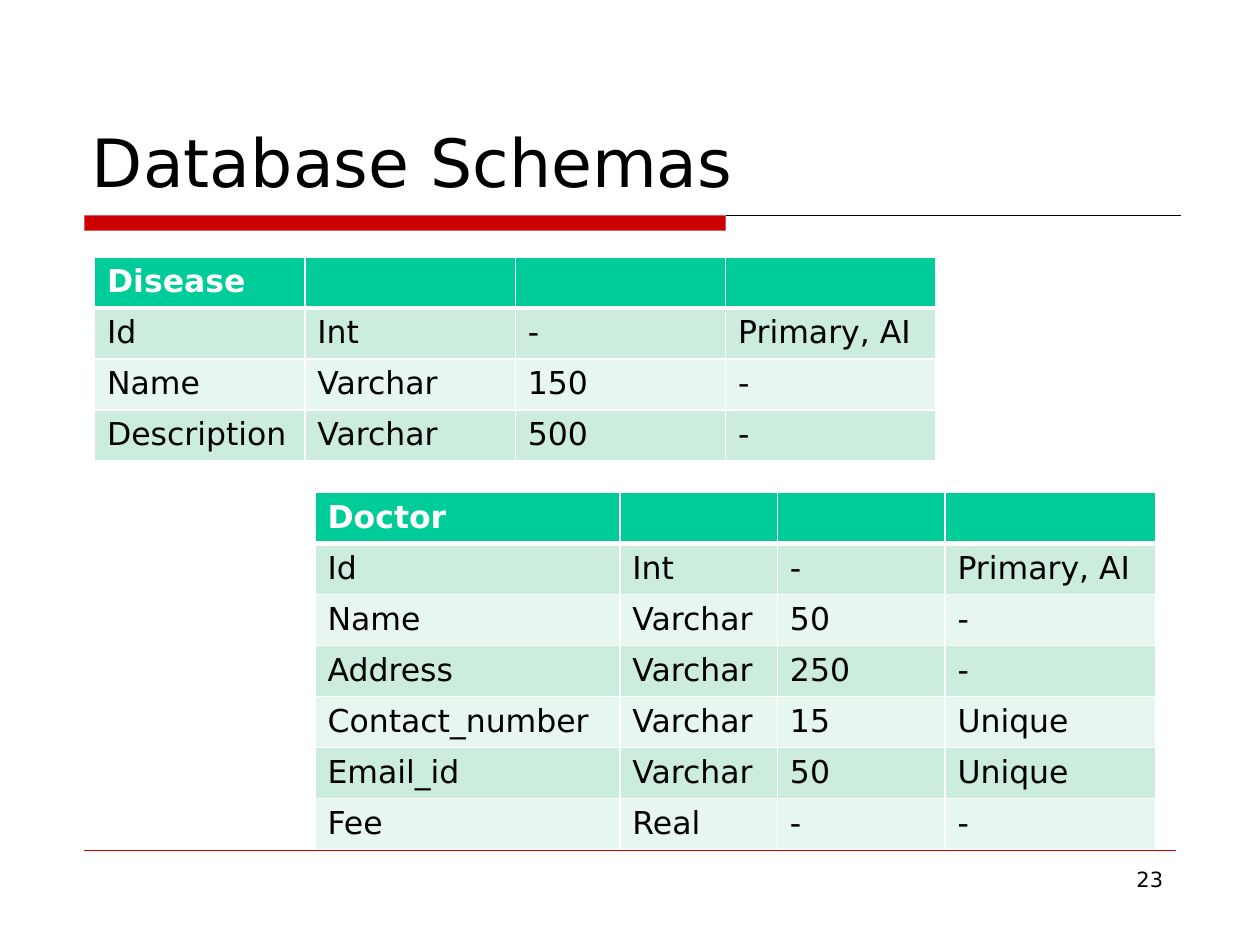
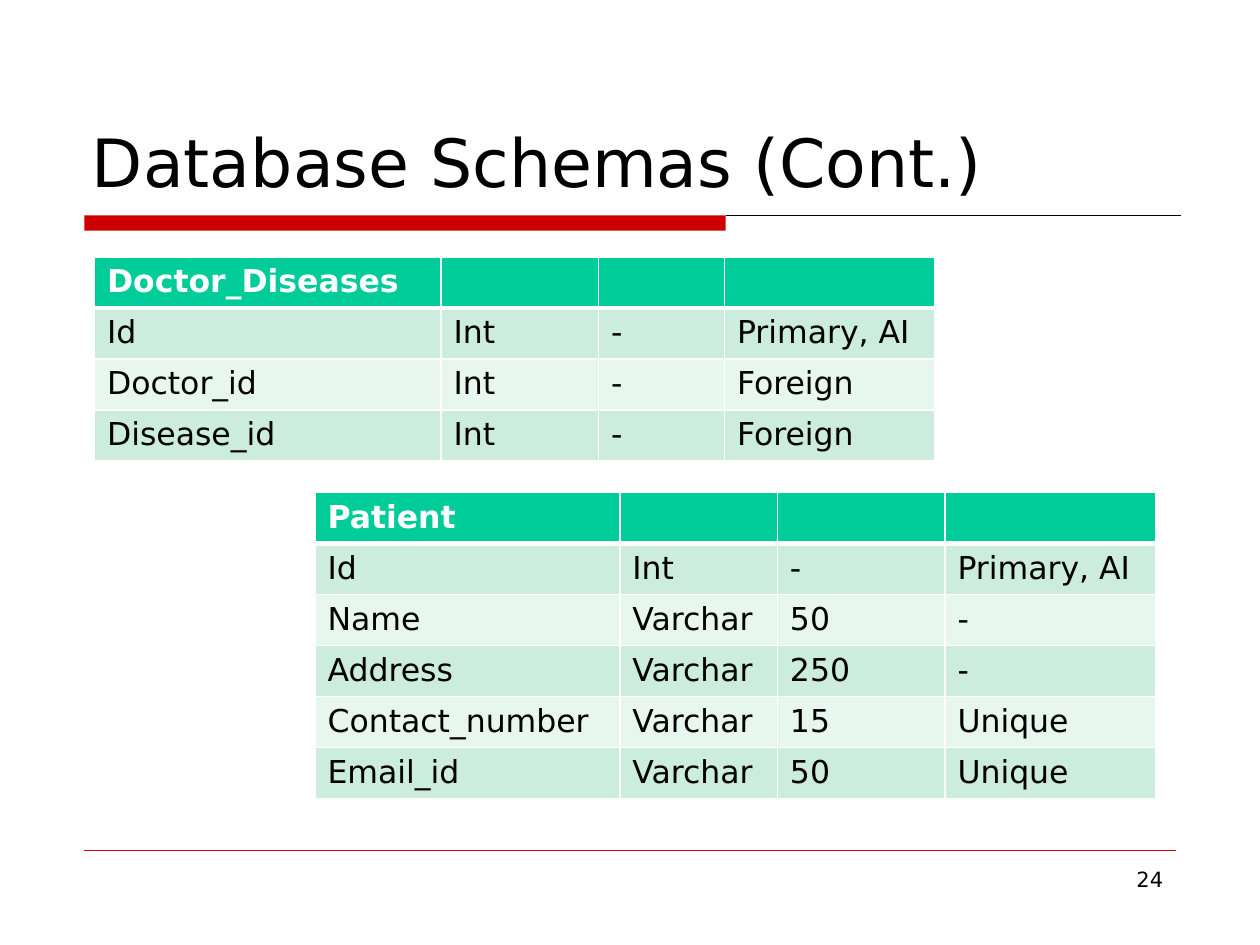
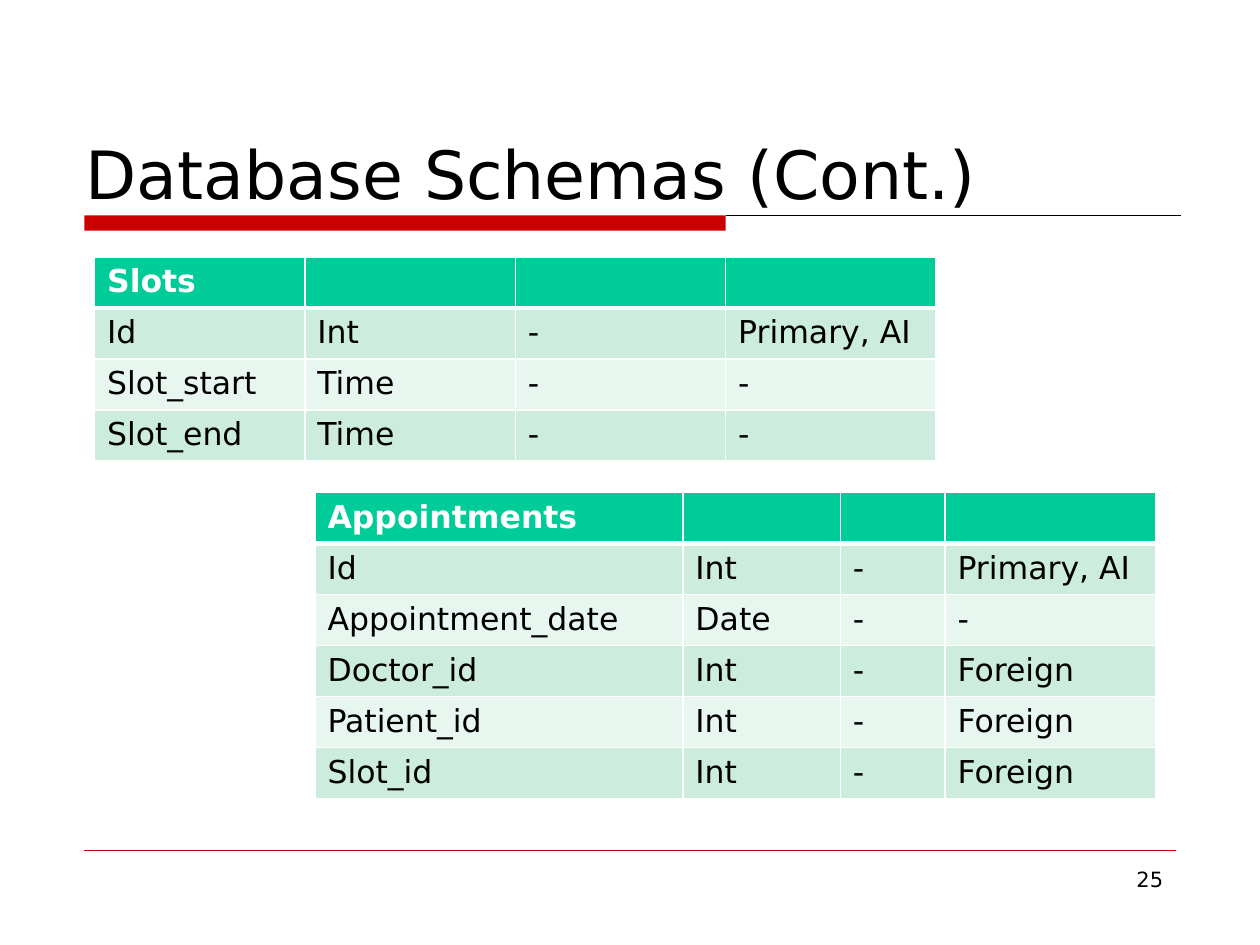
from lxml import etree
from pptx import Presentation, util as u
from pptx.dml.color import RGBColor
from pptx.enum import shapes, text
from pptx.oxml.ns import qn

RED = RGBColor(0xCC, 0x00, 0x00)
BLACK = RGBColor(0x00, 0x00, 0x00)
WHITE = RGBColor(0xFF, 0xFF, 0xFF)
GREEN = RGBColor(0x00, 0xCC, 0x99)
MINT = RGBColor(0xCC, 0xEC, 0xDE)
PALE_MINT = RGBColor(0xE7, 0xF6, 0xEF)

FONT = "DejaVu Sans"
TITLE_ONLY = 5
ROW_HEIGHT = u.Inches(1.62) // 4
TITLE_PLACE = (0.63, 0.33)
LOWERED_TITLE_PLACE = (0.58, 0.43)
UPPER_PLACE = (0.75, 2.04)
LOWER_PLACE = (2.5, 3.91)

EVEN_COLUMNS = (1.67, 1.67, 1.67, 1.67)
PERSON_COLUMNS = (2.42, 1.25, 1.33, 1.67)
ID_ROW = ("Id", "Int", "-", "Primary, AI")
PERSON_ROWS = [
    ID_ROW,
    ("Name", "Varchar", "50", "-"),
    ("Address", "Varchar", "250", "-"),
    ("Contact_number", "Varchar", "15", "Unique"),
    ("Email_id", "Varchar", "50", "Unique"),
]

PAGES = [
    ("Database Schemas", TITLE_PLACE,
     ("Disease", EVEN_COLUMNS, [
         ID_ROW,
         ("Name", "Varchar", "150", "-"),
         ("Description", "Varchar", "500", "-"),
     ]),
     ("Doctor", PERSON_COLUMNS, PERSON_ROWS + [("Fee", "Real", "-", "-")])),
    ("Database Schemas (Cont.)", TITLE_PLACE,
     ("Doctor_Diseases", (2.75, 1.25, 1, 1.67), [
         ID_ROW,
         ("Doctor_id", "Int", "-", "Foreign"),
         ("Disease_id", "Int", "-", "Foreign"),
     ]),
     ("Patient", PERSON_COLUMNS, PERSON_ROWS)),
    ("Database Schemas (Cont.)", LOWERED_TITLE_PLACE,
     ("Slots", EVEN_COLUMNS, [
         ID_ROW,
         ("Slot_start", "Time", "-", "-"),
         ("Slot_end", "Time", "-", "-"),
     ]),
     ("Appointments", (2.92, 1.25, 0.83, 1.67), [
         ID_ROW,
         ("Appointment_date", "Date", "-", "-"),
         ("Doctor_id", "Int", "-", "Foreign"),
         ("Patient_id", "Int", "-", "Foreign"),
         ("Slot_id", "Int", "-", "Foreign"),
     ])),
]


def apply(target, values):
    for name, value in values.items():
        setattr(target, name, value)


class SchemaDeck:
    def __init__(self):
        self.deck = Presentation()
        apply(self.deck, {"slide_width": u.Inches(10), "slide_height": u.Inches(7.5)})
        self.slide = None

    def new_slide(self):
        self.slide = self.deck.slides.add_slide(self.deck.slide_layouts[TITLE_ONLY])

    def add_words(self, paragraph, words, size, color=BLACK, bold=False):
        run = paragraph.add_run()
        run.text = words
        apply(run.font, {"name": FONT, "size": u.Pt(size), "bold": bold})
        run.font.color.rgb = color

    def title(self, words, place):
        heading = self.slide.shapes.title
        left, top = place
        apply(heading, {"left": u.Inches(left), "top": u.Inches(top),
                        "width": u.Inches(8.74), "height": u.Inches(1.32)})
        apply(heading.text_frame, {"word_wrap": True,
                                   "auto_size": text.MSO_AUTO_SIZE.NONE,
                                   "vertical_anchor": text.MSO_ANCHOR.BOTTOM})
        paragraph = heading.text_frame.paragraphs[0]
        apply(paragraph, {"alignment": text.PP_ALIGN.LEFT, "line_spacing": 0.91})
        self.add_words(paragraph, words, 38)

    def rule(self, left, right, top, color, weight):
        line = self.slide.shapes.add_connector(
            shapes.MSO_CONNECTOR.STRAIGHT,
            u.Inches(left), u.Inches(top), u.Inches(right), u.Inches(top))
        line.line.color.rgb = color
        line.line.width = u.Pt(weight)
        etree.SubElement(line._element.spPr, qn("a:effectLst"))

    def band(self):
        bar = self.slide.shapes.add_shape(
            shapes.MSO_SHAPE.RECTANGLE,
            u.Inches(0.67), u.Inches(1.71), u.Inches(5.09), u.Inches(0.12))
        bar.shadow.inherit = False
        bar.fill.solid()
        bar.fill.fore_color.rgb = RED
        bar.line.fill.background()
        self.rule(5.76, 9.37, 1.71, BLACK, 0.75)

    def footer(self, number):
        self.rule(0.67, 9.33, 6.75, RED, 0.25)
        page = self.slide.shapes.add_textbox(
            u.Inches(7.17), u.Inches(6.83), u.Inches(2.16), u.Inches(0.51))
        page.text_frame.word_wrap = True
        paragraph = page.text_frame.paragraphs[0]
        paragraph.alignment = text.PP_ALIGN.RIGHT
        self.add_words(paragraph, str(number), 12)

    def borders(self, cell, top, bottom):
        properties = cell._tc.get_or_add_tcPr()
        for side, weight in {"lnL": 1, "lnR": 1, "lnT": top, "lnB": bottom}.items():
            edge = etree.SubElement(properties, qn(f"a:{side}"), w=str(u.Pt(weight)))
            fill = etree.SubElement(edge, qn("a:solidFill"))
            etree.SubElement(fill, qn("a:srgbClr"), val=str(WHITE))

    def schema(self, place, name, columns, fields):
        rows = [(name, "", "", "")] + fields
        left, top = place
        table = self.slide.shapes.add_table(
            len(rows), len(columns), u.Inches(left), u.Inches(top),
            u.Inches(sum(columns)), ROW_HEIGHT * len(rows)).table
        table.horz_banding = False
        for column, width in zip(table.columns, columns):
            column.width = u.Inches(width)
        for r, row in enumerate(rows):
            table.rows[r].height = ROW_HEIGHT
            header = r == 0
            color = GREEN if header else MINT if r % 2 else PALE_MINT
            for c, words in enumerate(row):
                cell = table.cell(r, c)
                self.borders(cell, 3 if r == 1 else 1, 3 if header else 1)
                cell.fill.solid()
                cell.fill.fore_color.rgb = color
                if words:
                    self.add_words(cell.text_frame.paragraphs[0], words, 18,
                                   WHITE if header else BLACK, header)


def main():
    schemas = SchemaDeck()
    for number, (title, place, upper, lower) in enumerate(PAGES, 23):
        schemas.new_slide()
        schemas.band()
        schemas.footer(number)
        schemas.title(title, place)
        schemas.schema(UPPER_PLACE, *upper)
        schemas.schema(LOWER_PLACE, *lower)
    schemas.deck.save("out.pptx")


if __name__ == "__main__":
    main()
